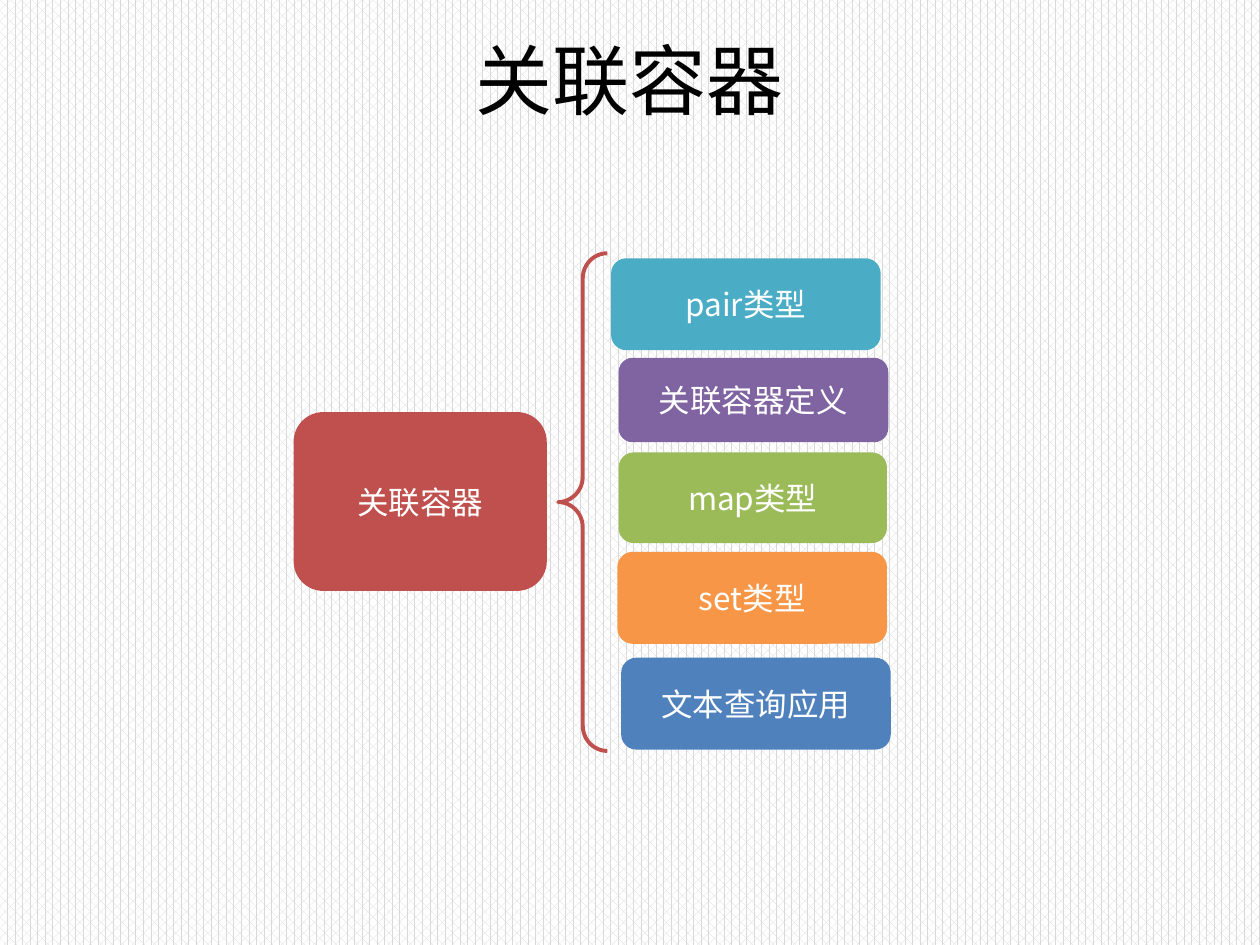
"""Build the overview slide of associative containers."""
from dataclasses import dataclass

from lxml.etree import SubElement
from pptx import Presentation
from pptx.dml.color import RGBColor
from pptx.enum.dml import MSO_PATTERN_TYPE
from pptx.enum.shapes import MSO_SHAPE
from pptx.enum.text import MSO_ANCHOR, PP_ALIGN
from pptx.oxml.ns import qn
from pptx.util import Inches, Pt


@dataclass(frozen=True)
class Theme:
    title_font: str = "Noto Sans CJK JP"
    box_font: str = "Noto Sans CJK SC"
    title_size: int = 44
    box_size: int = 18
    brace_width: float = 2.25
    black: str = "000000"
    white: str = "FFFFFF"
    stripe: str = "D9D9D9"
    red: str = "C0504D"
    teal: str = "4BACC6"
    purple: str = "8064A2"
    green: str = "9BBB59"
    orange: str = "F79646"
    blue: str = "4F81BD"


def place(shape, left, top, width, height):
    frame = {"left": left * column, "top": top * row,
             "width": width * column, "height": height * row}
    for name, value in frame.items():
        setattr(shape, name, round(value))


def write(shape, text, font, size, color):
    frame = shape.text_frame
    for name, value in {"word_wrap": True, "vertical_anchor": MSO_ANCHOR.MIDDLE}.items():
        setattr(frame, name, value)
    para = frame.paragraphs[0]
    para.alignment = PP_ALIGN.CENTER
    span = para.add_run()
    span.text = text
    for name, value in {"name": font, "size": Pt(size)}.items():
        setattr(span.font, name, value)
    span.font.color.rgb = RGBColor.from_string(color)
    SubElement(span._r.get_or_add_rPr(), qn("a:ea"), typeface=font)


theme = Theme()
deck = Presentation()
deck.slide_width, deck.slide_height = Inches(10), Inches(7.5)
column, row = deck.slide_width / 100, deck.slide_height / 75
page = deck.slides.add_slide(deck.slide_layouts[5])

backdrop = page.background.fill
backdrop.patterned()
backdrop.pattern = MSO_PATTERN_TYPE.PERCENT_60
backdrop.fore_color.rgb = RGBColor.from_string(theme.stripe)
backdrop.back_color.rgb = RGBColor.from_string(theme.white)

title = page.shapes.title
place(title, 5, 0, 90, 12.5)
write(title, "关联容器", theme.title_font, theme.title_size, theme.black)

topics = [
    ("关联容器", theme.red, 23.3, 32.7, 20.1, 14.2),
    ("pair类型", theme.teal, 48.5, 20.5, 21.4, 7.3),
    ("关联容器定义", theme.purple, 49.1, 28.4, 21.4, 6.7),
    ("map类型", theme.green, 49.1, 35.9, 21.3, 7.2),
    ("set类型", theme.orange, 49, 43.8, 21.4, 7.3),
    ("文本查询应用", theme.blue, 49.3, 52.2, 21.4, 7.3),
]
for text, color, *bounds in topics:
    box = page.shapes.add_shape(MSO_SHAPE.ROUNDED_RECTANGLE, 0, 0, 0, 0)
    place(box, *bounds)
    box.shadow.inherit = False
    box.fill.solid()
    box.fill.fore_color.rgb = RGBColor.from_string(color)
    box.line.fill.background()
    write(box, text, theme.box_font, theme.box_size, theme.white)

brace = page.shapes.add_shape(MSO_SHAPE.LEFT_BRACE, 0, 0, 0, 0)
place(brace, 44.3, 20.1, 3.9, 39.5)
brace.adjustments[0] = 0.515
brace.shadow.inherit = False
brace.fill.background()
brace.line.color.rgb = RGBColor.from_string(theme.red)
brace.line.width = Pt(theme.brace_width)

deck.save("out.pptx")
